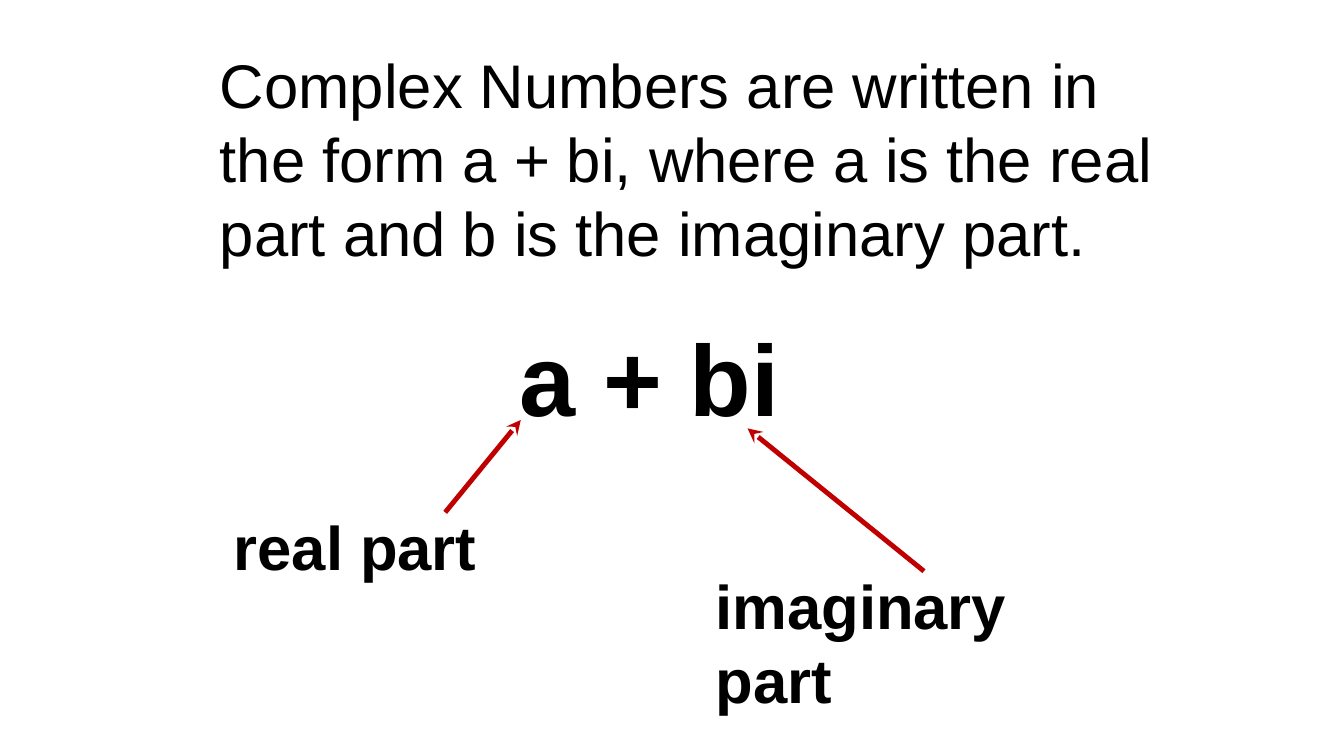
from dataclasses import dataclass

from pptx import Presentation
from pptx.dml.color import RGBColor
from pptx.enum.shapes import MSO_CONNECTOR
from pptx.enum.text import MSO_AUTO_SIZE
from pptx.oxml.ns import qn
from pptx.util import Pt
from lxml.etree import SubElement

PX = 9525  # EMU per px, 96 px to the inch


@dataclass(frozen=True)
class Theme:
    font: str = "Arial"
    ink: RGBColor = RGBColor(0x00, 0x00, 0x00)
    arrow: RGBColor = RGBColor(0xC0, 0x00, 0x00)
    body: float = 44
    formula: float = 72
    arrow_width: float = 3.5


theme = Theme()

prs = Presentation()
prs.slide_width, prs.slide_height = 1280 * PX, 720 * PX
slide = prs.slides.add_slide(prs.slide_layouts[6])

definition = [
    "Complex Numbers are written in",
    "the form a + bi, where a is the real",
    "part and b is the imaginary part.",
]

# lines, (left, top, width, height), size, bold
texts = [
    (definition, (200, 40, 918, 223), theme.body, False),
    (["a + bi"], (485, 296, 267, 125), theme.formula, True),
    (["real part"], (213, 480, 251, 80), theme.body, True),
    (["imaginary part"], (672, 536, 423, 80), theme.body, True),
]
for lines, box, size, bold in texts:
    frame = slide.shapes.add_textbox(*(v * PX for v in box)).text_frame
    frame.word_wrap = False
    frame.auto_size = MSO_AUTO_SIZE.SHAPE_TO_FIT_TEXT
    for number, line in enumerate(lines):
        paragraph = frame.add_paragraph() if number else frame.paragraphs[0]
        run = paragraph.add_run()
        run.text = line
        run.font.name = theme.font
        run.font.size = Pt(size)
        run.font.bold = bold
        run.font.color.rgb = theme.ink

# from label to formula: start x, start y, end x, end y
real_arrow = (424, 488, 496, 400)
imaginary_arrow = (880, 544, 712, 408)
for ends in (real_arrow, imaginary_arrow):
    arrow = slide.shapes.add_connector(MSO_CONNECTOR.STRAIGHT, *(v * PX for v in ends))
    arrow.line.color.rgb = theme.arrow
    arrow.line.width = Pt(theme.arrow_width)
    SubElement(arrow.line._get_or_add_ln(), qn("a:tailEnd"), type="stealth")
    SubElement(arrow._element.spPr, qn("a:effectLst"))

prs.save("out.pptx")
